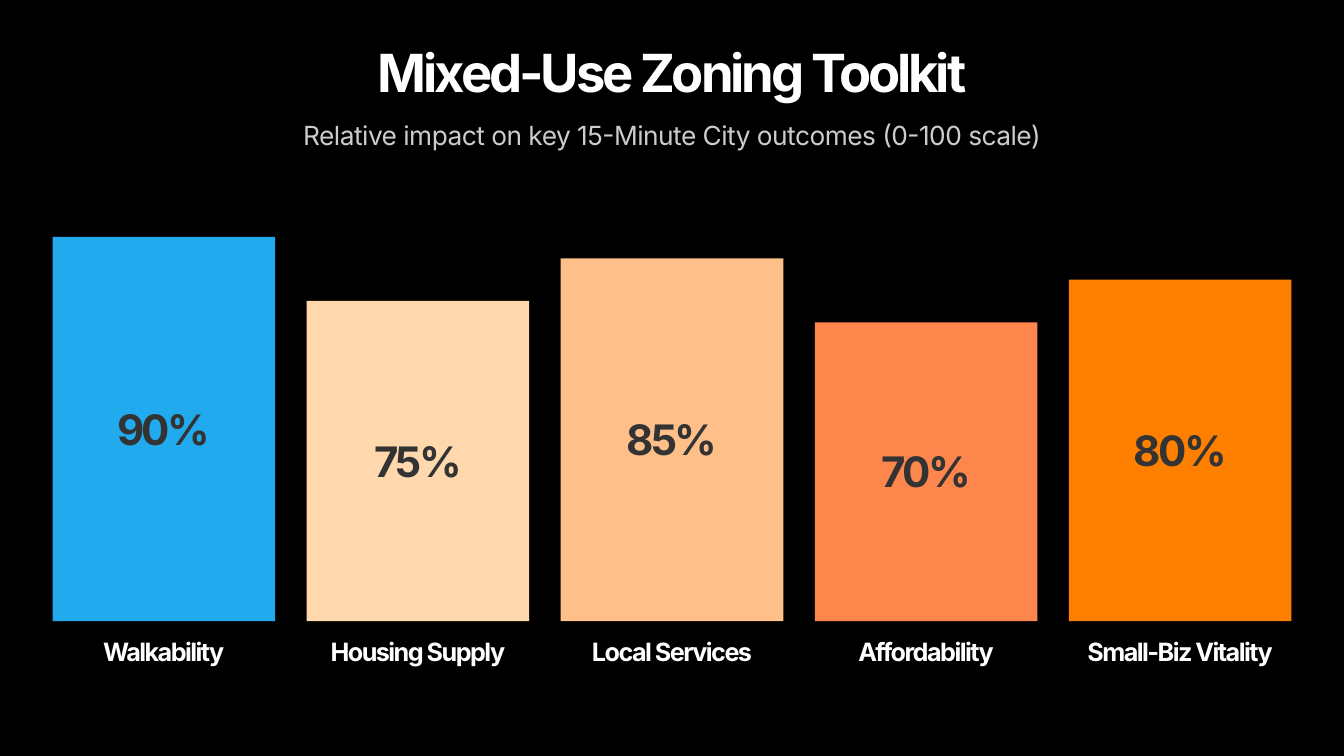
from dataclasses import dataclass

from pptx import Presentation
from pptx.dml.color import RGBColor
from pptx.enum.shapes import MSO_SHAPE as Shape
from pptx.enum.text import MSO_ANCHOR as Anchor, PP_ALIGN as Align
from pptx.oxml.ns import qn
from pptx.util import Pt
from lxml.etree import SubElement


@dataclass(frozen=True)
class Style:
    """Size, line height, letter spacing, colour, weight and opacity of text."""
    size: float
    line: float
    spacing: float
    color: str
    bold: bool = True
    opacity: int = 100


@dataclass(frozen=True)
class Theme:
    """Colours and type of the deck."""
    font: str = "Inter"
    background: str = "000000"
    title: Style = Style(37.5, 43.8, -2.2, "FFFFFF")
    subtitle: Style = Style(18.8, 26, -0.4, "FFFFFF", False, 80)
    label: Style = Style(18, 21, -1.1, "FFFFFF")
    value: Style = Style(30, 35, -1.8, "333333")


THEME = Theme()
OUTCOMES = [
    ("Walkability", 90, "22AAEE"),
    ("Housing Supply", 75, "FFD9AD"),
    ("Local Services", 85, "FEC088"),
    ("Affordability", 70, "FD864D"),
    ("Small-Biz Vitality", 80, "FF8000"),
]


def write_text(shape, text, style):
    """Write one centred line of text into a shape."""
    frame = shape.text_frame
    frame.word_wrap = True
    frame.margin_left = frame.margin_right = 0
    frame.margin_top = frame.margin_bottom = 0
    para = frame.paragraphs[0]
    para.text = text
    para.alignment = Align.CENTER
    para.line_spacing = Pt(style.line)
    font = para.font
    font.name = THEME.font
    font.size = Pt(style.size)
    font.bold = style.bold
    font.color.rgb = RGBColor.from_string(style.color)
    properties = font._rPr
    properties.set("spc", str(round(style.spacing * 100)))
    if style.opacity < 100:
        color = properties.find(".//" + qn("a:srgbClr"))
        SubElement(color, qn("a:alpha")).set("val", str(style.opacity * 1000))


def add_text(page, left, top, width, height, text, style):
    """Add a text box with one centred line."""
    box = page.shapes.add_textbox(Pt(left), Pt(top), Pt(width), Pt(height))
    write_text(box, text, style)


def add_heading(page, left, top, width):
    """Add the title with the subtitle under it."""
    add_text(page, left, top, width, 43.8, "Mixed-Use Zoning Toolkit", THEME.title)
    add_text(page, left, top + 51.8, width, 26,
             "Relative impact on key 15-Minute City outcomes (0-100 scale)",
             THEME.subtitle)


def add_bars(page, left, top, width, height, gap=22.5, overhang=8):
    """Add one bar per outcome on a 0-100 scale, with labels below."""
    bar_width = (width - gap * (len(OUTCOMES) - 1)) / len(OUTCOMES)
    for index, (label, value, color) in enumerate(OUTCOMES):
        bar_left = left + index * (bar_width + gap)
        bar_height = height * value / 100
        bar = page.shapes.add_shape(
            Shape.RECTANGLE, Pt(bar_left), Pt(top + height - bar_height),
            Pt(bar_width), Pt(bar_height))
        bar.shadow.inherit = False
        bar.fill.solid()
        bar.fill.fore_color.rgb = RGBColor.from_string(color)
        bar.line.fill.background()
        bar.text_frame.vertical_anchor = Anchor.MIDDLE
        write_text(bar, f"{value}%", THEME.value)
        add_text(page, bar_left - overhang, top + height + 11.3,
                 bar_width + 2 * overhang, 21, label, THEME.label)


def main():
    """Build the deck and save it."""
    deck = Presentation()
    deck.slide_width, deck.slide_height = Pt(960), Pt(540)
    page = deck.slides.add_slide(deck.slide_layouts[6])
    page.background.fill.solid()
    page.background.fill.fore_color.rgb = RGBColor.from_string(THEME.background)
    add_heading(page, 0, 29.6, 960)
    add_bars(page, 37.5, 138.75, 885, 305)
    deck.save("out.pptx")


if __name__ == "__main__":
    main()
